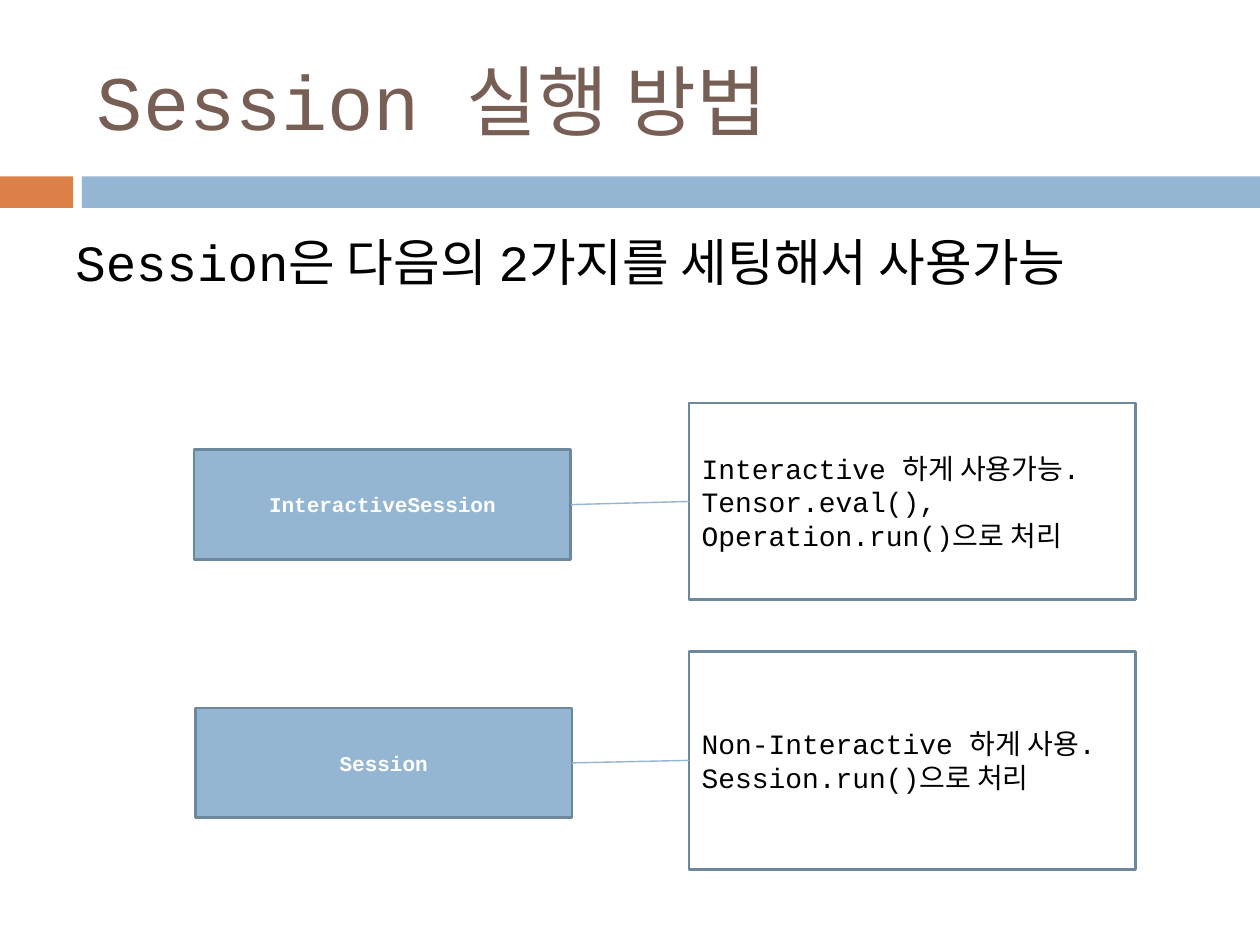
"""Build a slide on the two ways to run a Session."""
from lxml.etree import SubElement
from pptx import Presentation
from pptx.dml.color import RGBColor
from pptx.enum.shapes import MSO_CONNECTOR, MSO_SHAPE
from pptx.enum.text import MSO_ANCHOR, PP_ALIGN
from pptx.oxml.ns import qn
from pptx.util import Inches, Pt

COLORS = {
    "orange": "DD8047",
    "blue": "94B6D2",
    "outline": "6D879B",
    "brown": "775F55",
    "black": "000000",
    "white": "FFFFFF",
}


def add_box(slide, bounds, fill=None, line=None):
    box = slide.shapes.add_shape(MSO_SHAPE.RECTANGLE, *map(Inches, bounds))
    box.shadow.inherit = False
    if fill:
        box.fill.solid()
        box.fill.fore_color.rgb = RGBColor.from_string(COLORS[fill])
    else:
        box.fill.background()
    if line:
        box.line.color.rgb = RGBColor.from_string(COLORS[line])
        box.line.width = Pt(1.5)
    else:
        box.line.fill.background()
    return box


def write_text(box, text, size, color, anchor=MSO_ANCHOR.MIDDLE,
               align=PP_ALIGN.LEFT, bold=False):
    frame = box.text_frame
    frame.word_wrap = True
    frame.vertical_anchor = anchor
    para = frame.paragraphs[0]
    para.text = text
    para.alignment = align
    para.font.name = "Courier New"
    para.font.size = Pt(size)
    para.font.bold = bold
    para.font.color.rgb = RGBColor.from_string(COLORS[color])
    return para


deck = Presentation()
deck.slide_width, deck.slide_height = Inches(10), Inches(7.5)
page = deck.slides.add_slide(deck.slide_layouts[6])

add_box(page, (0, 1.4, 0.58, 0.25), "orange")
add_box(page, (0.65, 1.4, 9.35, 0.25), "blue")

title = page.shapes.add_textbox(Inches(0.67), Inches(0.25), Inches(8.92), Inches(1.08))
write_text(title, "Session 실행 방법", 44, "brown")

body = page.shapes.add_textbox(Inches(0.5), Inches(1.78), Inches(9), Inches(1.3))
body_para = write_text(body, "Session은 다음의 2가지를 세팅해서 사용가능", 29, "black", MSO_ANCHOR.TOP)
body_para.space_before = Pt(7)

sessions = [
    ("InteractiveSession", (1.54, 3.57, 2.99, 0.87),
     "Interactive 하게 사용가능. Tensor.eval(), Operation.run()으로 처리", (5.47, 3.2, 3.54, 1.56)),
    ("Session", (1.55, 5.62, 2.99, 0.87),
     "Non-Interactive 하게 사용. Session.run()으로 처리", (5.47, 5.17, 3.54, 1.73)),
]
for name, name_bounds, usage, usage_bounds in sessions:
    name_box = add_box(page, name_bounds, "blue", "outline")
    write_text(name_box, name, 12, "white", align=PP_ALIGN.CENTER, bold=True)
    usage_box = add_box(page, usage_bounds, line="outline")
    write_text(usage_box, usage, 16, "black")

    link = page.shapes.add_connector(MSO_CONNECTOR.STRAIGHT, 0, 0, 0, 0)
    link.begin_connect(name_box, 3)
    link.end_connect(usage_box, 1)
    link.line.color.rgb = RGBColor.from_string(COLORS["blue"])
    link.line.width = Pt(0.79)
    SubElement(link.element.spPr, qn("a:effectLst"))

deck.save("out.pptx")
